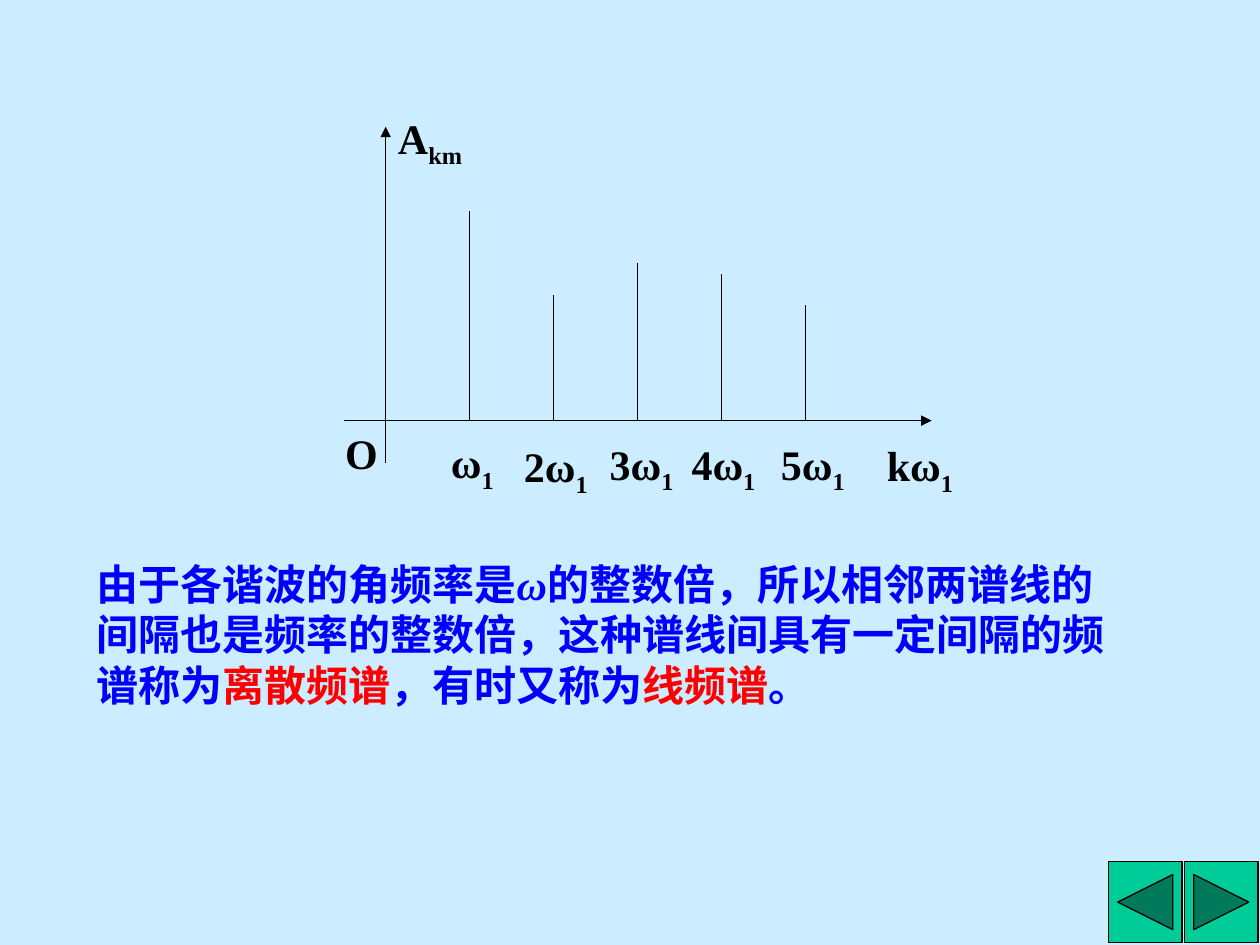
from dataclasses import dataclass

from lxml.etree import SubElement
from pptx import Presentation
from pptx.dml.color import RGBColor
from pptx.enum.shapes import MSO_CONNECTOR, MSO_SHAPE
from pptx.enum.text import MSO_ANCHOR
from pptx.oxml.ns import qn
from pptx.util import Pt

BLACK, BLUE, RED = "000000", "0000FF", "FF0000"
LEFT, BASE, STEP = 220.4, 240.4, 48


@dataclass
class Line:
    x1: float
    y1: float
    x2: float
    y2: float
    arrow: bool = False


@dataclass
class Span:
    text: str
    color: str = BLACK
    italic: bool = False
    sub: bool = False


@dataclass
class Label:
    x: float
    y: float
    wide: float
    text: str
    sub: str = ""


def paint(target, color: str) -> None:
    target.rgb = RGBColor.from_string(color)


def draw_line(shapes, line: Line) -> None:
    ends = [Pt(v) for v in (line.x1, line.y1, line.x2, line.y2)]
    shape = shapes.add_connector(MSO_CONNECTOR.STRAIGHT, *ends)
    paint(shape.line.color, BLACK)
    shape.line.width = Pt(0.75)
    if line.arrow:
        tail = SubElement(shape.line._get_or_add_ln(), qn("a:tailEnd"))
        tail.set("type", "triangle")
    SubElement(shape._element.spPr, qn("a:effectLst"))


def draw_text(shapes, x: float, y: float, wide: float, high: float,
              spans: list[Span]):
    frame = shapes.add_textbox(Pt(x), Pt(y), Pt(wide), Pt(high)).text_frame
    frame.word_wrap = True
    for span in spans:
        run = frame.paragraphs[0].add_run()
        run.text = span.text
        font = run.font
        font.name, font.size = "Times New Roman", Pt(24)
        font.bold, font.italic = True, span.italic
        paint(font.color, span.color)
        if span.sub:
            run._r.get_or_add_rPr().set("baseline", "-25000")
    return frame


def draw_label(shapes, label: Label) -> None:
    spans = [Span(label.text)]
    if label.sub:
        spans.append(Span(label.sub, sub=True))
    frame = draw_text(shapes, label.x, label.y, label.wide, 36, spans)
    frame.margin_right = 0


def draw_button(shapes, kind: MSO_SHAPE, x: float) -> None:
    shape = shapes.add_shape(kind, Pt(x), Pt(492.4), Pt(42), Pt(46.2))
    shape.shadow.inherit = False
    shape.fill.solid()
    paint(shape.fill.fore_color, "00CC99")
    paint(shape.line.color, BLACK)
    shape.line.width = Pt(0.75)


def main() -> None:
    deck = Presentation()
    deck.slide_width, deck.slide_height = Pt(720), Pt(540)
    slide = deck.slides.add_slide(deck.slide_layouts[6])
    fill = slide.background.fill
    fill.solid()
    paint(fill.fore_color, "CCECFF")

    graph = slide.shapes.add_group_shape().shapes
    draw_line(graph, Line(LEFT, BASE + 24, LEFT, BASE - 168, True))
    draw_line(graph, Line(LEFT - 24, BASE, LEFT + 312, BASE, True))
    for i, high in enumerate([120, 72, 90, 84, 66], 1):
        x = LEFT + i * STEP
        draw_line(graph, Line(x, BASE, x, BASE - high))

    for label in [
        Label(499.7, 247.7, 52.6, "kω", "1"),
        Label(250.6, 246.2, 41.8, "ω", "1"),
        Label(292.3, 248.4, 59.8, "2ω", "1"),
        Label(341.3, 247, 59.8, "3ω", "1"),
        Label(388.1, 247, 59.8, "4ω", "1"),
        Label(439.2, 247, 59.8, "5ω", "1"),
        Label(220.3, 60.5, 66.2, "A", "km"),
        Label(190.1, 240.5, 41.8, "O"),
    ]:
        draw_label(graph, label)

    note = draw_text(slide.shapes, 48.2, 315.4, 604, 93.6, [
        Span("由于各谐波的角频率是", BLUE),
        Span("ω", BLUE, italic=True),
        Span("的整数倍，所以相邻两谱线的间隔也是频率的整数倍，"
             "这种谱线间具有一定间隔的频谱称为", BLUE),
        Span("离散频谱", RED),
        Span("，有时又称为", BLUE),
        Span("线频谱", RED),
        Span("。", BLUE),
    ])
    note.vertical_anchor = MSO_ANCHOR.MIDDLE

    draw_button(slide.shapes, MSO_SHAPE.ACTION_BUTTON_BACK_OR_PREVIOUS, 633.5)
    draw_button(slide.shapes, MSO_SHAPE.ACTION_BUTTON_FORWARD_OR_NEXT, 676.9)
    deck.save("out.pptx")


if __name__ == "__main__":
    main()
